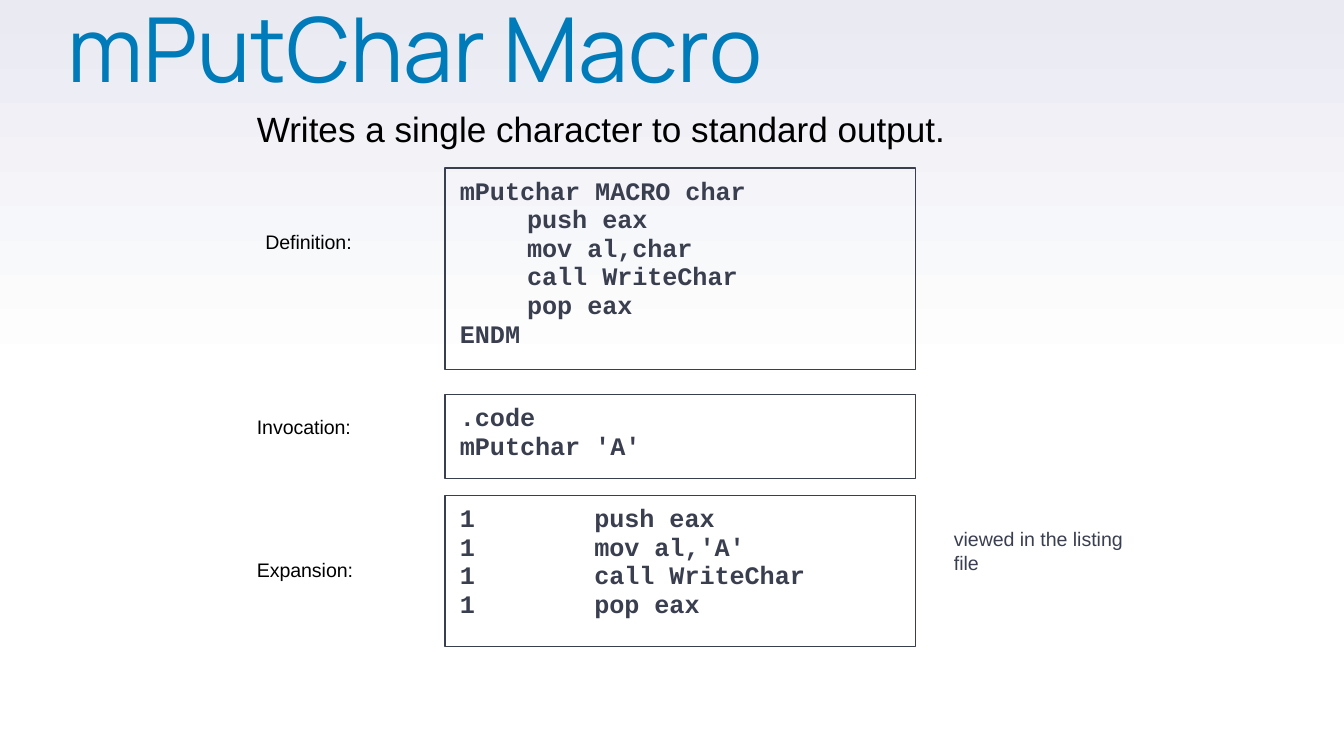
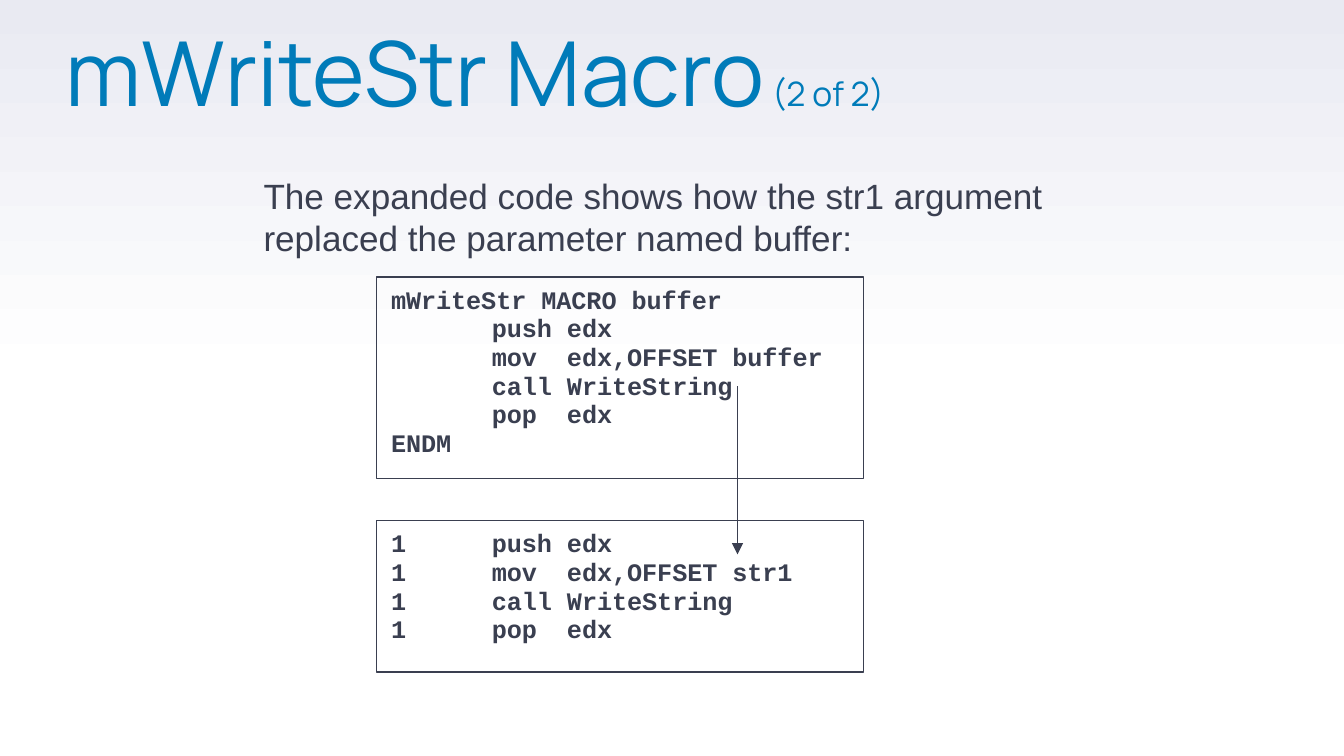
from copy import deepcopy
from dataclasses import dataclass

from lxml.etree import SubElement
from pptx import Presentation
from pptx.dml.color import RGBColor
from pptx.enum.shapes import MSO_CONNECTOR, MSO_SHAPE
from pptx.enum.text import MSO_ANCHOR, PP_ALIGN
from pptx.oxml.ns import qn
from pptx.util import Inches, Pt


@dataclass(frozen=True)
class Theme:
    blue: RGBColor = RGBColor(0x00, 0x7B, 0xB9)
    ink: RGBColor = RGBColor(0x3A, 0x3F, 0x50)
    black: RGBColor = RGBColor(0, 0, 0)
    white: RGBColor = RGBColor(0xFF, 0xFF, 0xFF)
    haze: RGBColor = RGBColor(0xE9, 0xEA, 0xF2)
    title_font: str = "Manrope"
    body_font: str = "Arial"
    code_font: str = "Courier New"
    title_size: float = 48
    part_size: float = 18
    lead_size: float = 18.8
    label_size: float = 10.5
    code_size: float = 13.5
    line_width: float = 0.75


theme = Theme()
CELL = Inches(1 / 16)  # the slide is a grid of 160 columns by 90 rows

deck = Presentation()
deck.slide_width, deck.slide_height = 160 * CELL, 90 * CELL


def grid(*cells):
    return [round(cell * CELL) for cell in cells]


def write(shape, lines, font, size, color, margins, bold=False):
    """Fill a shape with one paragraph per line, in one type style."""
    frame = shape.text_frame
    frame.word_wrap = True
    frame.vertical_anchor = MSO_ANCHOR.TOP
    frame.margin_left = frame.margin_right = Inches(margins[0])
    frame.margin_top = frame.margin_bottom = Inches(margins[1])
    frame.text = "\n".join(lines)
    for paragraph in frame.paragraphs:
        paragraph.alignment = PP_ALIGN.LEFT
        for run in paragraph.runs:
            run.font.name, run.font.size = font, Pt(size)
            run.font.bold, run.font.color.rgb = bold, color
    return frame.paragraphs


# Content: places are (column, row, columns, rows); tab stops are in cells
pages = [
    {
        "title": ("mPutChar Macro", "", (8, 1.6, 143.4, 18.9)),
        "texts": [
            ("Writes a single character to standard output.",
             theme.lead_size, theme.black, (29, 11, 101, 8.6)),
            ("Definition:", theme.label_size, theme.black, (30, 26, 31, 6.4)),
            ("Invocation:", theme.label_size, theme.black, (29, 48, 31, 6.4)),
            ("Expansion:", theme.label_size, theme.black, (29, 65, 31, 6.4)),
            ("viewed in the listing file",
             theme.label_size, theme.ink, (112, 61, 24, 9.3)),
        ],
        "code": [
            (["mPutchar MACRO char", "\tpush eax", "\tmov al,char",
              "\tcall WriteChar", "\tpop eax", "ENDM"], 8, (53, 20, 56, 24)),
            ([".code", "mPutchar 'A'"], 8, (53, 47, 56, 10)),
            (["1\tpush eax", "1\tmov al,'A'", "1\tcall WriteChar",
              "1\tpop eax"], 16, (53, 59, 56, 18)),
        ],
        "arrows": [],
    },
    {
        "title": ("mWriteStr Macro", " (2 of 2)", (7.8, 4.5, 143.4, 18.9)),
        "texts": [
            ("The expanded code shows how the str1 argument replaced the "
             "parameter named buffer:",
             theme.lead_size, theme.ink, (29.8, 19, 101, 13.8)),
        ],
        "code": [
            (["mWriteStr MACRO buffer", "\tpush edx",
              "\tmov  edx,OFFSET buffer", "\tcall WriteString",
              "\tpop  edx", "ENDM"], 12, (44.8, 33, 58, 24)),
            (["1\tpush edx", "1\tmov  edx,OFFSET str1",
              "1\tcall WriteString", "1\tpop  edx"], 12, (44.8, 62, 58, 18)),
        ],
        "arrows": [(87.8, 46, 87.8, 66)],
    },
]

for page in pages:
    slide = deck.slides.add_slide(deck.slide_layouts[6])

    # Background: white up to the middle, then haze at the top
    fill = slide.background.fill
    fill.gradient()
    fill.gradient_angle = 90
    stops = slide.element.find(".//" + qn("a:gsLst"))
    stops.insert(1, deepcopy(stops[0]))
    shades = (theme.white, theme.white, theme.haze)
    for stop, position, shade in zip(fill.gradient_stops, (0, 0.5, 1), shades):
        stop.position, stop.color.rgb = position, shade

    # Title, with an optional smaller part number
    heading, part, place = page["title"]
    title = slide.shapes.add_textbox(*grid(*place))
    heading_line = write(title, [heading], theme.title_font, theme.title_size,
                         theme.blue, (0, 0))[0]
    heading_line.line_spacing = 0.8
    if part:
        part_number = heading_line.add_run()
        part_number.text = part
        part_number.font.name = theme.title_font
        part_number.font.size = Pt(theme.part_size)
        part_number.font.color.rgb = theme.blue

    # Code listings
    for lines, tab_stop, place in page["code"]:
        listing = slide.shapes.add_shape(MSO_SHAPE.RECTANGLE, *grid(*place))
        listing.shadow.inherit = False
        listing.fill.background()
        listing.line.color.rgb = theme.ink
        listing.line.width = Pt(theme.line_width)
        for code_line in write(listing, lines, theme.code_font, theme.code_size,
                               theme.ink, (0.11, 0.15), bold=True):
            code_line.line_spacing = 0.5
            code_line.space_before = Pt(7.2)
            tabs = SubElement(code_line._p.get_or_add_pPr(), qn("a:tabLst"))
            SubElement(tabs, qn("a:tab"), pos=str(tab_stop * CELL), algn="l")

    # Lead sentence, labels and remarks
    for words, size, color, place in page["texts"]:
        caption = slide.shapes.add_textbox(*grid(*place))
        write(caption, [words], theme.body_font, size, color, (0.1, 0.11))

    # Arrow from the parameter to its argument
    for ends in page["arrows"]:
        arrow = slide.shapes.add_connector(MSO_CONNECTOR.STRAIGHT, *grid(*ends))
        arrow.line.color.rgb = theme.ink
        arrow.line.width = Pt(theme.line_width)
        SubElement(arrow.line._get_or_add_ln(), qn("a:tailEnd"), type="triangle")
        SubElement(arrow._element.spPr, qn("a:effectLst"))

deck.save("out.pptx")
